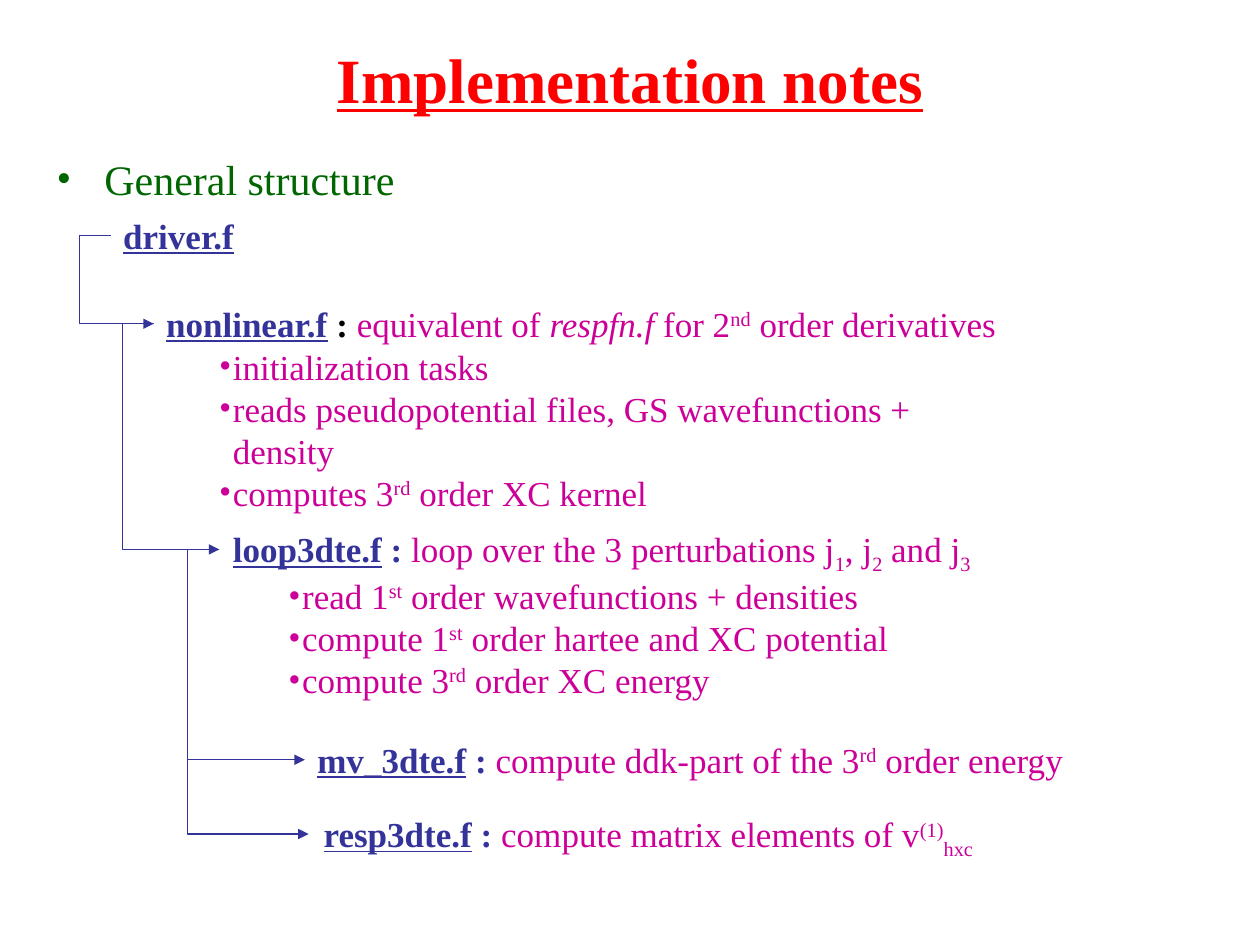
from lxml import etree
from pptx import Presentation
from pptx.dml.color import RGBColor
from pptx.enum.shapes import MSO_CONNECTOR
from pptx.enum.text import MSO_ANCHOR, PP_ALIGN
from pptx.oxml.ns import qn
from pptx.util import Inches, Pt

RED, GREEN, NAVY, PINK, BLACK = "FF0000", "006600", "333399", "CC0099", "000000"

STYLES = {
    "title": dict(size=36, color=RED, bold=True, underline=True),
    "heading": dict(size=24, color=GREEN),
    "file": dict(color=NAVY, bold=True, underline=True),
    "colon": dict(color=NAVY, bold=True),
    "black": dict(color=BLACK, bold=True),
    "plain": dict(),
    "italic": dict(italic=True),
    "sup": dict(baseline=30000),
    "sub": dict(baseline=-25000),
}


def rgb(value):
    return RGBColor.from_string(value)


def add_text(left, top, width, height, paragraphs, indent=0):
    box = page.shapes.add_textbox(Inches(left), Inches(top), Inches(width), Inches(height))
    box.text_frame.word_wrap = True
    for index, pieces in enumerate(paragraphs):
        para = box.text_frame.paragraphs[0] if index == 0 else box.text_frame.add_paragraph()
        for text, name in pieces:
            style = STYLES[name]
            span = para.add_run()
            span.text = text
            span.font.name = "Times New Roman"
            span.font.size = Pt(style.get("size", 20))
            span.font.color.rgb = rgb(style.get("color", PINK))
            span.font.bold = style.get("bold", False)
            span.font.italic = style.get("italic", False)
            span.font.underline = style.get("underline", False)
            if "baseline" in style:
                span.font._element.set("baseline", str(style["baseline"]))
        if indent:
            props = para._p.get_or_add_pPr()
            props.set("marL", str(Inches(indent)))
            props.set("indent", str(-Inches(indent)))
            color = etree.SubElement(props, qn("a:buClr"))
            bullet_color = STYLES[pieces[0][1]].get("color", PINK)
            etree.SubElement(color, qn("a:srgbClr"), val=bullet_color)
            etree.SubElement(props, qn("a:buFont"), typeface="Times New Roman")
            etree.SubElement(props, qn("a:buChar"), char="•")
    return box


deck = Presentation()
deck.slide_width = Inches(10)
deck.slide_height = Inches(7.5)
page = deck.slides.add_slide(deck.slide_layouts[6])

title = add_text(0.75, 0.33, 8.5, 0.58, [[("Implementation notes", "title")]])
title.text_frame.vertical_anchor = MSO_ANCHOR.MIDDLE
title.text_frame.paragraphs[0].alignment = PP_ALIGN.CENTER

body = add_text(0.35, 1.17, 9.65, 6.33, [[("General structure", "heading")]], indent=0.38)
body.text_frame.paragraphs[0].space_before = Pt(6)

files = [
    (0.88, 1.65, 1.2, 0.44, [("driver.f", "file")]),
    (1.22, 2.35, 8.52, 0.44, [
        ("nonlinear.f", "file"), (" : ", "black"), ("equivalent of ", "plain"),
        ("respfn.f", "italic"), (" for 2", "plain"), ("nd", "sup"),
        (" order derivatives", "plain")]),
    (1.75, 4.14, 6.2, 0.48, [
        ("loop3dte.f", "file"), (" : ", "colon"),
        ("loop over the 3 perturbations j", "plain"), ("1", "sub"),
        (", j", "plain"), ("2", "sub"), (" and j", "plain"), ("3", "sub")]),
    (2.42, 5.81, 6.2, 0.44, [
        ("mv_3dte.f", "file"), (" : ", "colon"), ("compute ddk-part of the 3", "plain"),
        ("rd", "sup"), (" order energy", "plain")]),
    (2.47, 6.4, 5.5, 0.48, [
        ("resp3dte.f", "file"), (" : ", "colon"), ("compute matrix elements of v", "plain"),
        ("(1)", "sup"), ("hxc", "sub")]),
]
for left, top, width, height, pieces in files:
    add_text(left, top, width, height, [pieces])

task_lists = [
    (1.64, 2.69, 6.45, [
        [("initialization tasks", "plain")],
        [("reads pseudopotential files, GS wavefunctions + density", "plain")],
        [("computes 3", "plain"), ("rd", "sup"), (" order XC kernel", "plain")]]),
    (2.19, 4.51, 5.1, [
        [("read 1", "plain"), ("st", "sup"), (" order wavefunctions + densities", "plain")],
        [("compute 1", "plain"), ("st", "sup"), (" order hartee and XC potential", "plain")],
        [("compute 3", "plain"), ("rd", "sup"), (" order XC energy", "plain")]]),
]
for left, top, width, tasks in task_lists:
    add_text(left, top, width, 1.1, tasks, indent=0.11)

calls = [
    (0.88, 1.87, 1.22, 2.57),
    (1.22, 2.57, 1.74, 4.36),
    (1.74, 4.36, 2.42, 6.03),
    (1.74, 4.36, 2.45, 6.62),
]
for left, top, right, bottom in calls:
    arrow = page.shapes.add_connector(
        MSO_CONNECTOR.ELBOW, Inches(left), Inches(top), Inches(right), Inches(bottom))
    arrow.line.color.rgb = rgb(NAVY)
    arrow.line.width = Pt(0.75)
    etree.SubElement(arrow.line._get_or_add_ln(), qn("a:tailEnd"), type="triangle")
    props = arrow._element.spPr
    etree.SubElement(props, qn("a:effectLst"))
    guides = props.find(qn("a:prstGeom")).find(qn("a:avLst"))
    bend = round(-0.25 / (right - left) * 100000)
    etree.SubElement(guides, qn("a:gd"), name="adj1", fmla=f"val {bend}")

deck.save("out.pptx")
